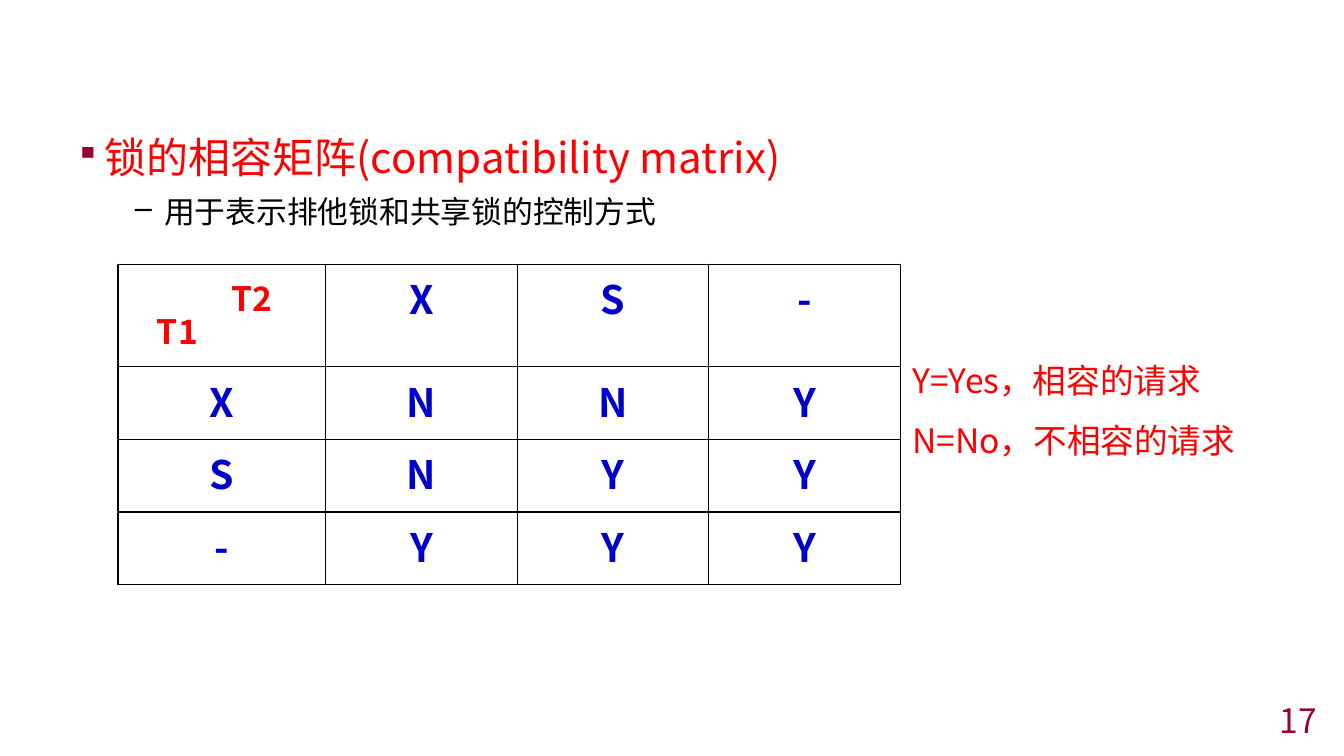
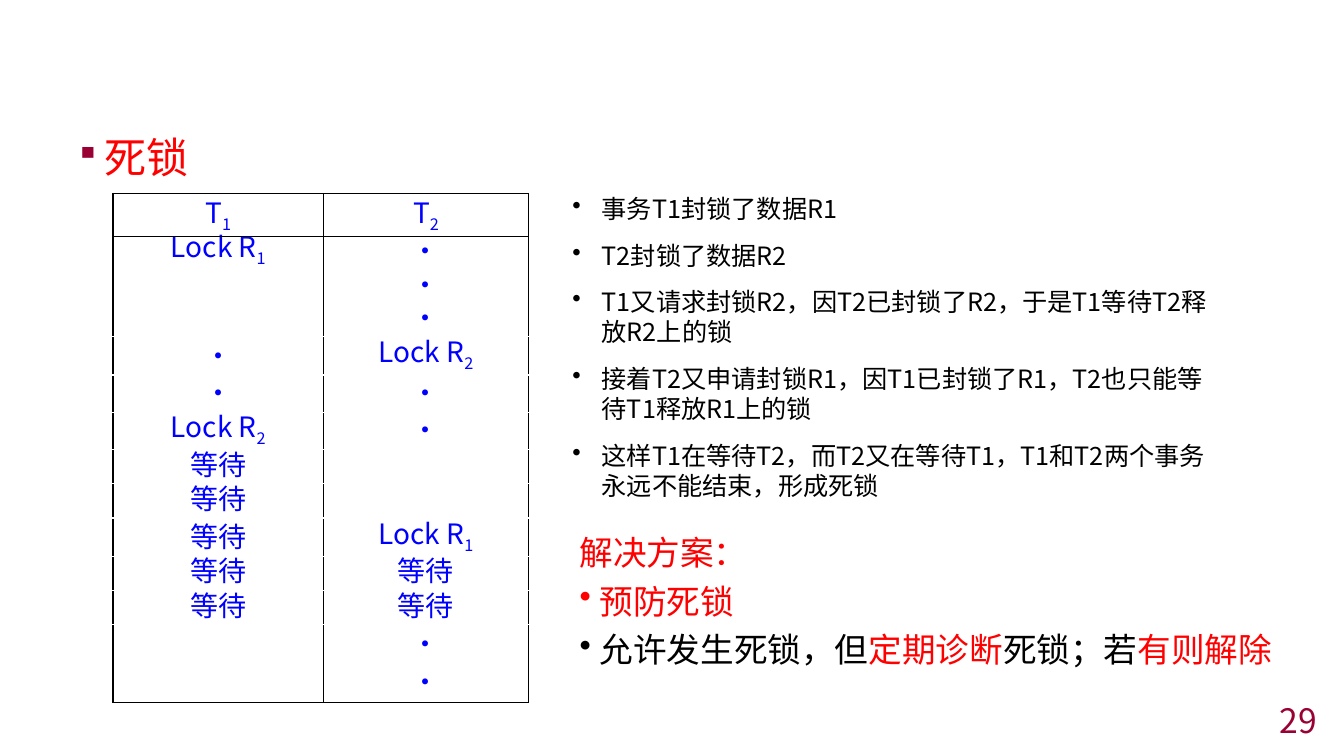
from dataclasses import dataclass

from lxml import etree
from pptx import Presentation
from pptx.dml.color import RGBColor
from pptx.enum.text import MSO_ANCHOR, PP_ALIGN
from pptx.oxml.ns import qn
from pptx.util import Inches, Pt

LEFT, CENTER, RIGHT = PP_ALIGN.LEFT, PP_ALIGN.CENTER, PP_ALIGN.RIGHT
TOP, MIDDLE = MSO_ANCHOR.TOP, MSO_ANCHOR.MIDDLE


@dataclass(frozen=True)
class Theme:
    font: str = "Noto Sans CJK SC"
    black: str = "000000"
    white: str = "FFFFFF"
    red: str = "FF0000"
    maroon: str = "990033"
    matrix_blue: str = "0000CC"
    schedule_blue: str = "0000FF"
    heading: int = 30
    matrix: int = 28
    label: int = 24
    subheading: int = 22
    schedule: int = 20
    body: int = 18


THEME = Theme()
BODY_BOX = (0.65, 1.17, 12.04, 5.98)
NUMBER_BOX = (10.33, 6.99, 2.83, 0.31)


def add_child(parent, tag, **attributes):
    return etree.SubElement(parent, qn(tag), attributes)


def add_bullet(para, mark, color=None, percent=None):
    properties = para._p.get_or_add_pPr()
    if color:
        holder = add_child(properties, "a:buClr")
        add_child(holder, "a:srgbClr", val=color)
    if percent:
        add_child(properties, "a:buSzPct", val=str(percent * 1000))
    add_child(properties, "a:buChar", char=mark)


def write_span(para, text, size, color, bold=False, subscript=False):
    span = para.add_run()
    span.text = text
    span.font.size = Pt(size)
    span.font.bold = bold
    span.font.name = THEME.font
    span.font.color.rgb = RGBColor.from_string(color)
    properties = span._r.get_or_add_rPr()
    add_child(properties, "a:ea", typeface=THEME.font)
    if subscript:
        properties.set("baseline", "-25000")


def write_para(frame, text, size, color, first=False, bold=False, align=LEFT,
               line=None, before=0, hang=0, indent=0, bullet=None,
               bullet_color=None, bullet_percent=None):
    para = frame.paragraphs[0] if first else frame.add_paragraph()
    para.alignment = align
    if line:
        para.line_spacing = Pt(line)
    if before:
        para.space_before = Pt(before)
    if bullet:
        properties = para._p.get_or_add_pPr()
        properties.set("marL", str(Inches(indent)))
        properties.set("indent", str(-Inches(hang)))
        add_bullet(para, bullet, bullet_color, bullet_percent)
    parts = [(text, color)] if isinstance(text, str) else text
    for part, part_color in parts:
        base, mark, index = part.partition("_")
        if base:
            write_span(para, base, size, part_color, bold)
        if mark:
            write_span(para, index, size, part_color, bold, subscript=True)


def add_box(page, bounds, anchor=TOP):
    box = page.shapes.add_textbox(*map(Inches, bounds))
    box.text_frame.word_wrap = True
    box.text_frame.vertical_anchor = anchor
    return box.text_frame


def add_base_page(deck, heading, number, subheading=None):
    page = deck.slides.add_slide(deck.slide_layouts[6])
    frame = add_box(page, BODY_BOX)
    write_para(frame, heading, THEME.heading, THEME.red, first=True, line=42,
               hang=0.29, indent=0.29, bullet="▪",
               bullet_color=THEME.maroon, bullet_percent=80)
    if subheading:
        write_para(frame, subheading, THEME.subheading, THEME.black, line=30,
                   before=4.4, hang=0.29, indent=0.88, bullet="–")
    frame = add_box(page, NUMBER_BOX, MIDDLE)
    write_para(frame, number, THEME.label, THEME.maroon, first=True, align=RIGHT)
    return page


def style_cell(cell, margins, borders):
    cell.margin_left = cell.margin_right = Inches(margins[0])
    cell.margin_top = cell.margin_bottom = Inches(margins[1])
    properties = cell._tc.get_or_add_tcPr()
    for side in "LRTB":
        color, width = borders[side]
        line = add_child(properties, f"a:ln{side}", w=str(Pt(width)))
        fill = add_child(line, "a:solidFill")
        add_child(fill, "a:srgbClr", val=color)
    cell.fill.background()


def add_grid(page, left, top, widths, heights):
    bounds = (left, top, sum(widths), sum(heights))
    table = page.shapes.add_table(len(heights), len(widths),
                                  *map(Inches, bounds)).table
    table.first_row = table.horz_banding = False
    for column, width in zip(table.columns, widths):
        column.width = Inches(width)
    for row, height in zip(table.rows, heights):
        row.height = Inches(height)
    return table


def add_matrix(page, left, top):
    table = add_grid(page, left, top, [2.06] + [1.9] * 3, [1.02] + [0.72] * 3)
    borders = dict.fromkeys("LRTB", (THEME.black, 1))
    for row_index, row in enumerate([" XS-", "XNNY", "SNYY", "-YYY"]):
        for column_index, mark in enumerate(row):
            cell = table.cell(row_index, column_index)
            style_cell(cell, (0.1, 0.05), borders)
            if mark != " ":
                write_para(cell.text_frame, mark, THEME.matrix, THEME.matrix_blue,
                           first=True, bold=True, align=CENTER)
    for text, x, y in [("T2", 0.83, 0.09), ("T1", 0.09, 0.42)]:
        frame = add_box(page, (left + x, top + y, 1, 0.5))
        write_para(frame, text, THEME.label, THEME.red, first=True, bold=True,
                   align=CENTER, line=28.5)


def add_legend(page, bounds):
    frame = add_box(page, bounds)
    for index, text in enumerate(["Y=Yes，相容的请求", "N=No，不相容的请求"]):
        write_para(frame, text, THEME.label, THEME.red, first=index == 0, line=42.9)


def add_schedule(page, left, top):
    steps = [
        (0.42, "T_1", "T_2"),
        (1.0, "Lock R_1", "•\n•\n•"),
        (0.38, "•", "Lock R_2"),
        (0.37, "•", "•"),
        (0.37, "Lock R_2", "•"),
        (0.34, "等待", ""),
        (0.34, "等待", ""),
        (0.38, "等待", "Lock R_1"),
        (0.34, "等待", "等待"),
        (0.34, "等待", "等待"),
        (0.77, "", "•\n•"),
    ]
    table = add_grid(page, left, top, [2.09, 2.03], [step[0] for step in steps])
    thin, outer, blank = (THEME.black, 0.25), (THEME.black, 1), (THEME.white, 1)
    edges = [outer, thin] + [blank] * (len(steps) - 2) + [thin]
    for row_index, (height, *texts) in enumerate(steps):
        line_count = max(len(text.split("\n")) for text in texts)
        line = int(height * 72 / line_count)
        borders = {"L": outer, "R": outer,
                   "T": edges[row_index], "B": edges[row_index + 1]}
        for column_index, text in enumerate(texts):
            cell = table.cell(row_index, column_index)
            style_cell(cell, (0.08, 0), borders)
            for index, part in enumerate(text.split("\n")):
                write_para(cell.text_frame, part, THEME.schedule,
                           THEME.schedule_blue, first=index == 0,
                           align=CENTER, line=line)


def add_explanation(page, bounds):
    frame = add_box(page, bounds)
    points = [
        "事务T1封锁了数据R1",
        "T2封锁了数据R2",
        "T1又请求封锁R2，因T2已封锁了R2，于是T1等待T2释放R2上的锁",
        "接着T2又申请封锁R1，因T1已封锁了R1，T2也只能等待T1释放R1上的锁",
        "这样T1在等待T2，而T2又在等待T1，T1和T2两个事务永远不能结束，形成死锁",
    ]
    for index, text in enumerate(points):
        write_para(frame, text, THEME.body, THEME.black, first=index == 0,
                   line=21.4, before=12 if index else 0,
                   hang=0.29, indent=0.29, bullet="•")


def add_solutions(page, bounds):
    frame = add_box(page, bounds)
    write_para(frame, "解决方案：", THEME.label, THEME.red, first=True, line=34.6)
    diagnosis = [("允许发生死锁，但", THEME.black), ("定期诊断", THEME.red),
                 ("死锁；若", THEME.black), ("有则解除", THEME.red)]
    for text in ["预防死锁", diagnosis]:
        write_para(frame, text, THEME.label, THEME.red, line=34.6,
                   hang=0.2, indent=0.2, bullet="•")


def build_matrix_page(deck):
    page = add_base_page(deck, "锁的相容矩阵(compatibility matrix)", "17",
                         "用于表示排他锁和共享锁的控制方式")
    add_matrix(page, 1.17, 2.62)
    add_legend(page, (8.95, 3.33, 3.67, 1.24))


def build_deadlock_page(deck):
    page = add_base_page(deck, "死锁", "29")
    add_explanation(page, (5.58, 1.87, 6.63, 3.28))
    add_solutions(page, (5.65, 5.15, 7.2, 1.51))
    add_schedule(page, 1.12, 1.92)


def main():
    deck = Presentation()
    deck.slide_width, deck.slide_height = Inches(13.33), Inches(7.5)
    build_matrix_page(deck)
    build_deadlock_page(deck)
    deck.save("out.pptx")


if __name__ == "__main__":
    main()
